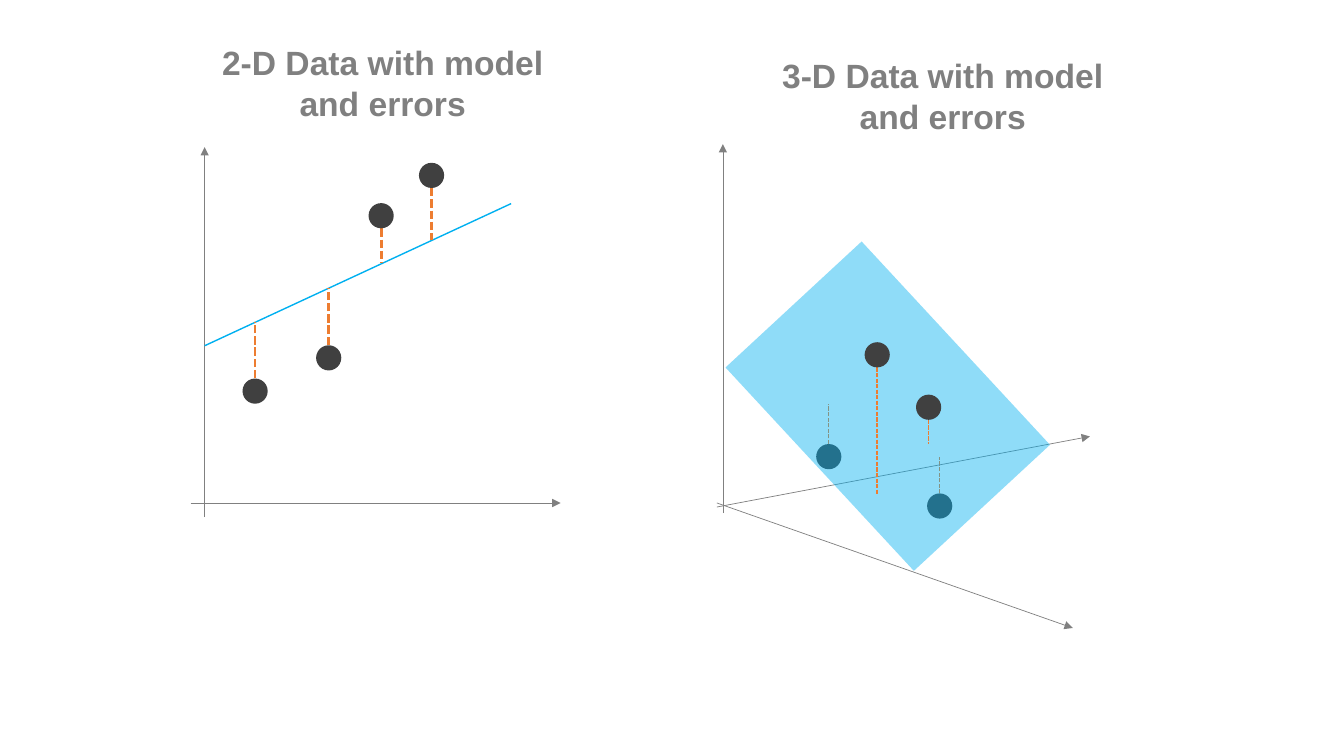
from dataclasses import dataclass
from typing import Optional

from lxml.etree import SubElement
from pptx import Presentation
from pptx.dml.color import RGBColor
from pptx.enum.dml import MSO_LINE
from pptx.enum.shapes import MSO_CONNECTOR, MSO_SHAPE
from pptx.enum.text import MSO_AUTO_SIZE, PP_ALIGN
from pptx.oxml.ns import qn
from pptx.shapes.shapetree import SlideShapes
from pptx.util import Inches, Pt

GREY = RGBColor(0x80, 0x80, 0x80)
DARK = RGBColor(0x40, 0x40, 0x40)
ORANGE = RGBColor(0xED, 0x7D, 0x31)
BLUE = RGBColor(0x00, 0xB0, 0xF0)

SLIDE_WIDTH = Inches(13.33)
SLIDE_HEIGHT = Inches(7.5)
COLUMN = SLIDE_WIDTH / 133.3
ROW = SLIDE_HEIGHT / 75
DOT = 2.5


@dataclass(frozen=True)
class Stroke:
    color: RGBColor
    points: float
    dash: Optional[MSO_LINE] = None
    arrow: bool = False


@dataclass(frozen=True)
class Segment:
    start: tuple[float, float]
    end: tuple[float, float]


@dataclass(frozen=True)
class Observation:
    column: float
    row: float
    model_row: float


@dataclass(frozen=True)
class Heading:
    wording: str
    column: float
    row: float
    columns: float
    rows: float = 9.1


AXIS = Stroke(GREY, 0.5, arrow=True)
MODEL = Stroke(BLUE, 1)
ERROR_2D = Stroke(ORANGE, 2, MSO_LINE.SQUARE_DOT)
ERROR_3D = Stroke(ORANGE, 1, MSO_LINE.SQUARE_DOT)

AXES_2D = [Segment((18.9, 49.9), (55.6, 49.9)), Segment((20.3, 51.3), (20.3, 14.6))]
AXES_3D = [
    Segment((71.1, 49.9), (106.4, 62.3)),
    Segment((71.7, 50.9), (71.7, 14.3)),
    Segment((71.1, 50.3), (108.1, 43.3)),
]
MODEL_LINE = Segment((20.3, 34.3), (50.7, 20.2))
DATA_2D = [
    Observation(25.3, 38.8, 31.9),
    Observation(32.6, 35.5, 28.6),
    Observation(37.8, 21.4, 26.1),
    Observation(42.8, 17.4, 23.8),
]
BELOW_PLANE = [Observation(93.2, 50.2, 45.3), Observation(82.2, 45.3, 40.1)]
ABOVE_PLANE = [Observation(92.1, 40.4, 44), Observation(87, 35.2, 49)]
HEADINGS = [
    Heading("2-D Data with model and errors", 17.9, 3.7, 40.1),
    Heading("3-D Data with model and errors", 74.1, 5, 38.8),
]


def across(columns: float) -> int:
    return round(columns * COLUMN)


def down(rows: float) -> int:
    return round(rows * ROW)


def draw_segment(shapes: SlideShapes, segment: Segment, stroke: Stroke) -> None:
    (x1, y1), (x2, y2) = segment.start, segment.end
    connector = shapes.add_connector(
        MSO_CONNECTOR.STRAIGHT, across(x1), down(y1), across(x2), down(y2)
    )
    connector.line.color.rgb = stroke.color
    connector.line.width = Pt(stroke.points)
    if stroke.dash is not None:
        connector.line.dash_style = stroke.dash
    properties = connector._element.spPr
    if stroke.arrow:
        SubElement(properties.find(qn("a:ln")), qn("a:tailEnd"), type="triangle")
    SubElement(properties, qn("a:effectLst"))


def draw_observation(shapes: SlideShapes, point: Observation, stroke: Stroke) -> None:
    toward_model = DOT / 2 if point.model_row > point.row else -DOT / 2
    error = Segment(
        (point.column, point.row + toward_model), (point.column, point.model_row)
    )
    draw_segment(shapes, error, stroke)
    dot = shapes.add_shape(
        MSO_SHAPE.OVAL,
        across(point.column - DOT / 2),
        down(point.row - DOT / 2),
        across(DOT),
        down(DOT),
    )
    dot.shadow.inherit = False
    dot.fill.solid()
    dot.fill.fore_color.rgb = DARK
    dot.line.fill.background()


def draw_model_plane(shapes: SlideShapes) -> None:
    plane = shapes.add_shape(
        MSO_SHAPE.RECTANGLE, across(74.3), down(31.1), across(27.5), down(18.4)
    )
    plane.rotation = 47.2
    plane.shadow.inherit = False
    plane.fill.solid()
    plane.fill.fore_color.rgb = BLUE
    plane.line.fill.background()
    tint = plane._element.spPr.find(qn("a:solidFill")).find(qn("a:srgbClr"))
    SubElement(tint, qn("a:alpha"), val="44000")


def draw_heading(shapes: SlideShapes, heading: Heading) -> None:
    frame = shapes.add_textbox(
        across(heading.column),
        down(heading.row),
        across(heading.columns),
        down(heading.rows),
    ).text_frame
    frame.word_wrap = True
    frame.auto_size = MSO_AUTO_SIZE.SHAPE_TO_FIT_TEXT
    title = frame.paragraphs[0]
    title.text = heading.wording
    title.alignment = PP_ALIGN.CENTER
    title.font.name = "Arial"
    title.font.size = Pt(24)
    title.font.bold = True
    title.font.color.rgb = GREY


def main() -> None:
    deck = Presentation()
    deck.slide_width = SLIDE_WIDTH
    deck.slide_height = SLIDE_HEIGHT
    shapes = deck.slides.add_slide(deck.slide_layouts[6]).shapes

    for axis in AXES_2D:
        draw_segment(shapes, axis, AXIS)
    draw_segment(shapes, MODEL_LINE, MODEL)
    for point in DATA_2D:
        draw_observation(shapes, point, ERROR_2D)

    for point in BELOW_PLANE:
        draw_observation(shapes, point, ERROR_3D)
    for axis in AXES_3D:
        draw_segment(shapes, axis, AXIS)
    draw_model_plane(shapes)
    for point in ABOVE_PLANE:
        draw_observation(shapes, point, ERROR_3D)

    for heading in HEADINGS:
        draw_heading(shapes, heading)
    deck.save("out.pptx")


if __name__ == "__main__":
    main()
